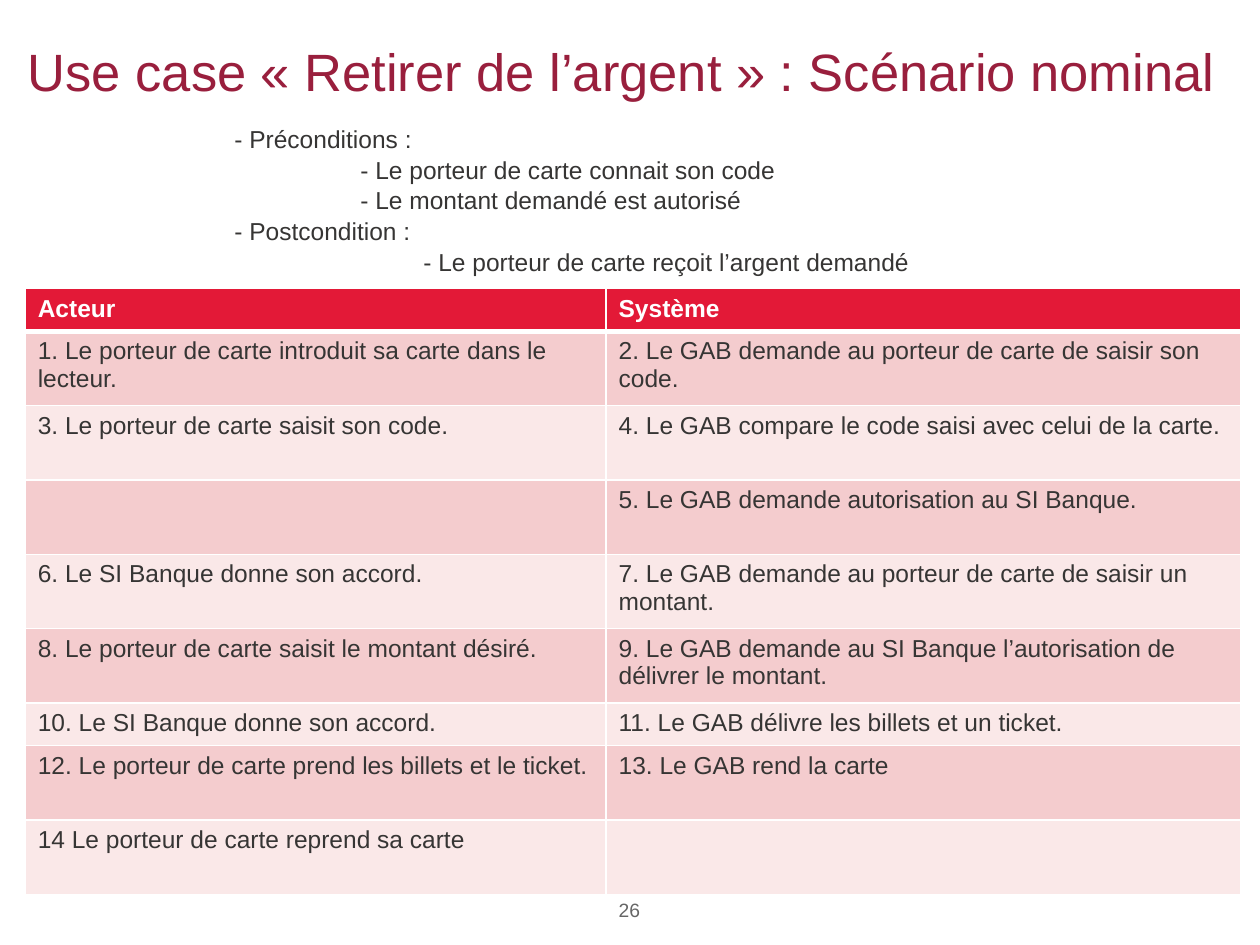
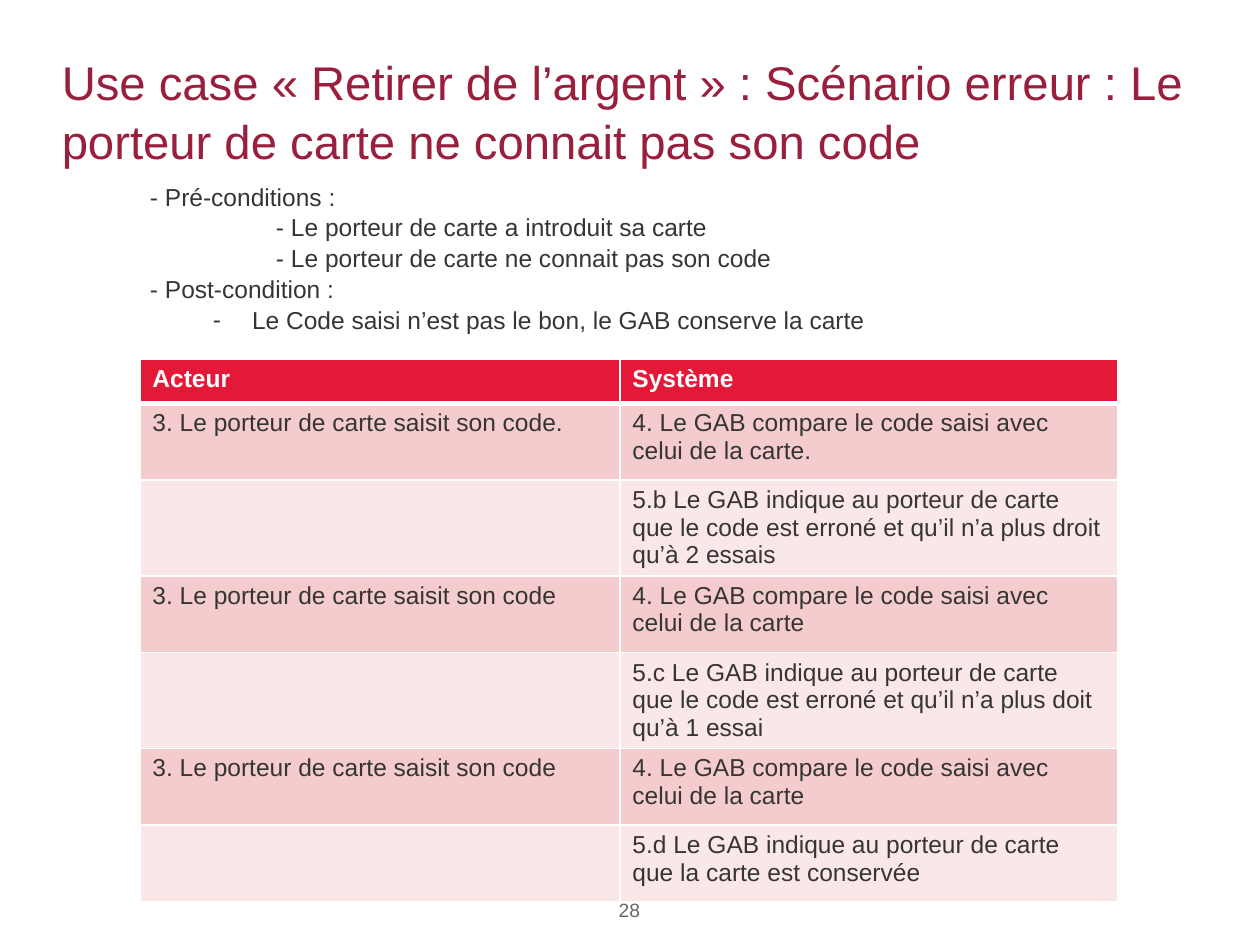
from lxml import etree
from pptx import Presentation
from pptx import util as u
from pptx.dml import color
from pptx.enum import text
from pptx.oxml import ns

COLORS = {
    "title": "991F3D",
    "header": "E31937",
    "odd": "F4CCCE",
    "even": "FAE8E8",
    "text": "363534",
    "number": "666666",
    "white": "FFFFFF",
}
FONT = "Arial"
TEXT_SIZE = 14
LINE_SPACING = 1.05


def rgb(name):
    return color.RGBColor.from_string(COLORS[name])


class Deck:
    def __init__(self):
        self.prs = Presentation()
        self.prs.slide_width = u.Inches(10)
        self.prs.slide_height = u.Inches(7.5)
        self.s = None

    def add_slide(self):
        self.s = self.prs.slides.add_slide(self.prs.slide_layouts[1])

    def run(self, p, words, size, shade, bold=False):
        r = p.add_run()
        r.text = words
        r.font.name = FONT
        r.font.size = u.Pt(size)
        r.font.bold = bold
        r.font.color.rgb = rgb(shade)

    def frame(self, sp, box, anchor, wrap=True):
        sp.left, sp.top, sp.width, sp.height = map(u.Inches, box)
        tf = sp.text_frame
        tf.margin_left = tf.margin_right = tf.margin_top = tf.margin_bottom = 0
        tf.auto_size = text.MSO_AUTO_SIZE.NONE
        tf.vertical_anchor = anchor
        tf.word_wrap = wrap
        return tf

    def title(self, words, box, size):
        tf = self.frame(self.s.shapes.title, box, text.MSO_ANCHOR.MIDDLE)
        p = tf.paragraphs[0]
        p.alignment = text.PP_ALIGN.LEFT
        p.line_spacing = LINE_SPACING
        self.run(p, words, size, "title")

    def conditions(self, items, box):
        tf = self.frame(self.s.placeholders[1], box, text.MSO_ANCHOR.TOP)
        for i, (words, margin, hanging) in enumerate(items):
            p = tf.paragraphs[0] if i == 0 else tf.add_paragraph()
            pPr = p._p.get_or_add_pPr()
            pPr.set("marL", str(u.Inches(margin)))
            pPr.set("indent", str(-u.Inches(hanging)))
            if hanging:
                etree.SubElement(pPr, ns.qn("a:buChar")).set("char", "-")
            else:
                etree.SubElement(pPr, ns.qn("a:buNone"))
            p.line_spacing = LINE_SPACING
            p.space_before = u.Pt(0)
            self.run(p, words, TEXT_SIZE, "text")

    def borders(self, cell, top, bottom):
        tcPr = cell._tc.get_or_add_tcPr()
        for side, width in (("L", 1), ("R", 1), ("T", top), ("B", bottom)):
            ln = etree.SubElement(tcPr, ns.qn("a:ln" + side))
            ln.set("w", str(u.Pt(width)))
            fill = etree.SubElement(ln, ns.qn("a:solidFill"))
            etree.SubElement(fill, ns.qn("a:srgbClr")).set("val", COLORS["white"])

    def scenario(self, steps, left, top, widths, heights):
        rows = [("Acteur", "Système")] + steps
        sp = self.s.shapes.add_table(
            len(rows), len(widths), u.Inches(left), u.Inches(top),
            u.Inches(sum(widths)), u.Inches(sum(heights)))
        table = sp.table
        table.horz_banding = False
        for column, width in zip(table.columns, widths):
            column.width = u.Inches(width)
        for i, (row, height) in enumerate(zip(rows, heights)):
            table.rows[i].height = u.Inches(height)
            header = i == 0
            fill = "header" if header else ("even", "odd")[i % 2]
            for j, words in enumerate(row):
                cell = table.cell(i, j)
                self.borders(cell, 3 if i == 1 else 1, 3 if header else 1)
                cell.fill.solid()
                cell.fill.fore_color.rgb = rgb(fill)
                if words:
                    self.run(cell.text_frame.paragraphs[0], words, TEXT_SIZE,
                             "white" if header else "text", header)

    def page_number(self, number):
        box = (4.57, 7.13, 0.85, 0.26)
        sp = self.s.shapes.add_textbox(*map(u.Inches, box))
        tf = self.frame(sp, box, text.MSO_ANCHOR.TOP, wrap=False)
        p = tf.paragraphs[0]
        p.alignment = text.PP_ALIGN.CENTER
        self.run(p, str(number), 11, "number")


def nominal_scenario(deck):
    deck.add_slide()
    deck.title("Use case « Retirer de l’argent » : Scénario nominal",
               (0.22, 0.04, 9.63, 1.01), 30)
    deck.conditions([
        ("- Préconditions :", 0, 0),
        ("- Le porteur de carte connait son code", 1, 0),
        ("- Le montant demandé est autorisé", 1, 0),
        ("- Postcondition :", 0, 0),
        ("- Le porteur de carte reçoit l’argent demandé", 1.5, 0),
    ], (1.86, 0.97, 7.14, 1.25))
    deck.scenario([
        ("1. Le porteur de carte introduit sa carte dans le lecteur.",
         "2. Le GAB demande au porteur de carte de saisir son code."),
        ("3. Le porteur de carte saisit son code.",
         "4. Le GAB compare le code saisi avec celui de la carte."),
        ("", "5. Le GAB demande autorisation au SI Banque."),
        ("6. Le SI Banque donne son accord.",
         "7. Le GAB demande au porteur de carte de saisir un montant."),
        ("8. Le porteur de carte saisit le montant désiré.",
         "9. Le GAB demande au SI Banque l’autorisation de délivrer le montant."),
        ("10. Le SI Banque donne son accord.",
         "11. Le GAB délivre les billets et un ticket."),
        ("12. Le porteur de carte prend les billets et le ticket.",
         "13. Le GAB rend la carte"),
        ("14 Le porteur de carte reprend sa carte", ""),
    ], 0.2, 2.29, (4.61, 5.04), [0.34] + [0.59] * 5 + [0.34] + [0.59] * 2)
    deck.page_number(26)


def error_scenario(deck):
    deck.add_slide()
    deck.title("Use case « Retirer de l’argent » : Scénario erreur : "
               "Le porteur de carte ne connait pas son code",
               (0.49, 0.2, 9.01, 1.34), 27)
    deck.conditions([
        ("- Pré-conditions :", 0, 0),
        ("- Le porteur de carte a introduit sa carte", 1, 0),
        ("- Le porteur de carte ne connait pas son code", 1, 0),
        ("- Post-condition :", 0, 0),
        ("Le Code saisi n’est pas le bon, le GAB conserve la carte", 0.81, 0.31),
    ], (1.19, 1.43, 7.75, 1.41))
    enter_code = "3. Le porteur de carte saisit son code"
    compare_code = "4. Le GAB compare le code saisi avec celui de la carte"
    wrong_code = "Le GAB indique au porteur de carte que le code est erroné et qu’il n’a plus"
    deck.scenario([
        (enter_code + ".", compare_code + "."),
        ("", f"5.b {wrong_code} droit qu’à 2 essais"),
        (enter_code, compare_code),
        ("", f"5.c {wrong_code} doit qu’à 1 essai"),
        (enter_code, compare_code),
        ("", "5.d Le GAB indique au porteur de carte que la carte est conservée"),
    ], 1.11, 2.85, (3.81, 3.95), [0.35] + [0.61, 0.76] * 2 + [0.61] * 2)
    deck.page_number(28)


def main():
    deck = Deck()
    nominal_scenario(deck)
    error_scenario(deck)
    deck.prs.save("out.pptx")


if __name__ == "__main__":
    main()
